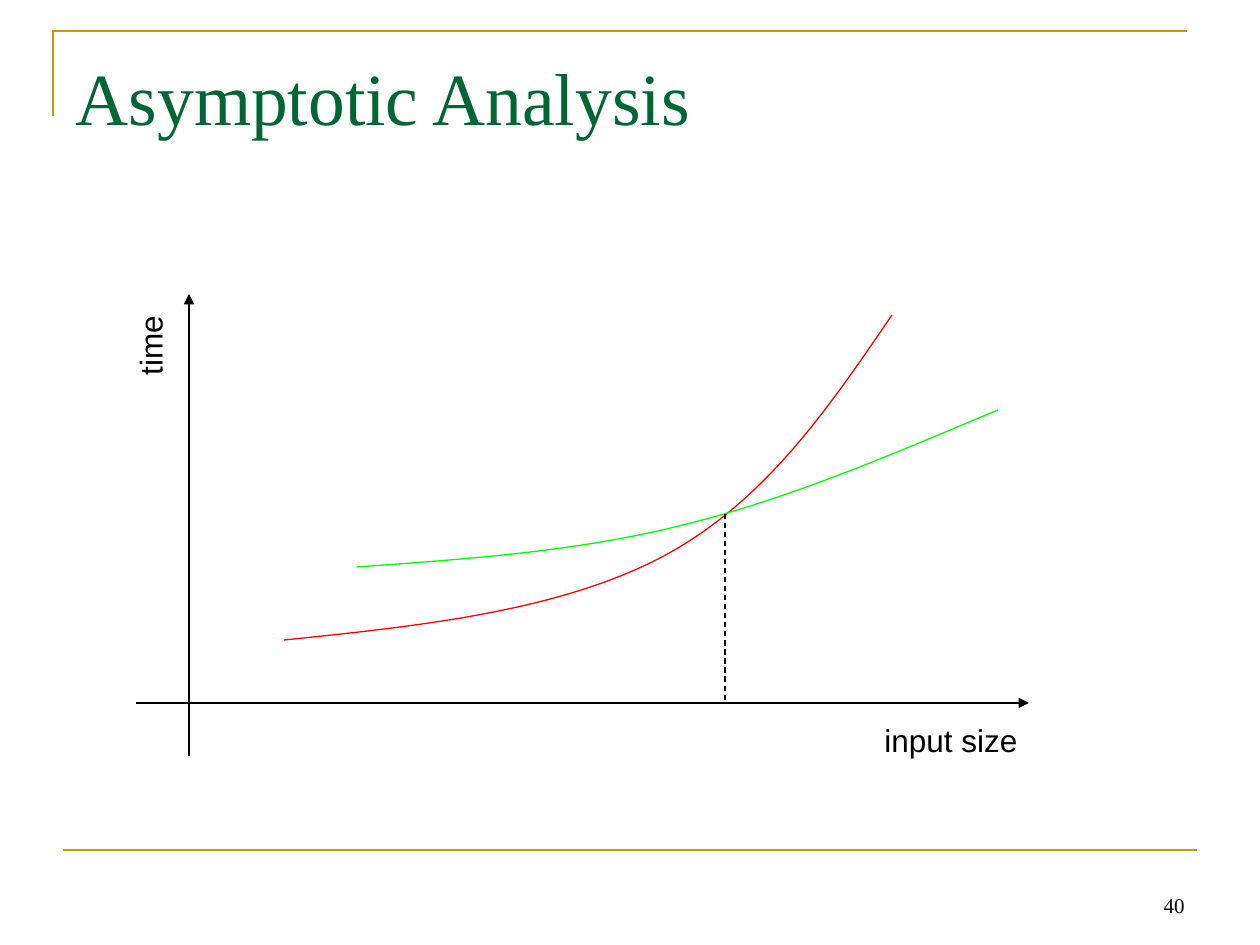
import pptx
import pptx.dml.color
import pptx.enum.dml
import pptx.enum.shapes
import pptx.enum.text
import pptx.oxml
import pptx.oxml.ns
import pptx.util

EMU_PER_PX = 914400 / 126
GOLD = pptx.dml.color.RGBColor(0xCC, 0x99, 0x00)
GREEN = pptx.dml.color.RGBColor(0x00, 0x66, 0x33)
BLACK = pptx.dml.color.RGBColor(0x00, 0x00, 0x00)
RED = pptx.dml.color.RGBColor(0xFF, 0x00, 0x00)
LIME = pptx.dml.color.RGBColor(0x00, 0xFF, 0x00)
SERIF, SANS = "Times New Roman", "Arial"
ANCHOR = pptx.enum.text.MSO_ANCHOR
ALIGN = pptx.enum.text.PP_ALIGN

TITLE = "Asymptotic Analysis"
PAGE_NUMBER = "40"
TITLE_AREA = (63, 38, 1134, 157)
NUMBER_AREA = (903, 861, 294, 63)
AXIS_LABELS = [
    ("time", (108, 321, 84, 50), 270),
    ("input size", (872, 715, 159, 50), 0),
]

FRAME_CORNER = [(53, 116), (53, 31), (1187, 31)]
FOOTER_RULE = ((63, 850), (1197, 850))
AXES = [((189, 756), (189, 294)), ((136, 703), (1029, 703))]
CROSSING = ((725, 514), (725, 703))
CURVES = [
    (RED, [(284, 640), (422, 626), (559, 611), (662, 557),
           (764, 503), (828, 409), (892, 315)]),
    (LIME, [(357, 567), (466, 559), (576, 552), (683, 525),
            (789, 499), (893, 454), (998, 410)]),
]


def emu(px):
    return pptx.util.Emu(round(px * EMU_PER_PX))


def write(box, text, font=SANS, size=18, color=BLACK, align=ALIGN.LEFT,
          anchor=ANCHOR.TOP, wrap=True):
    frame = box.text_frame
    frame.word_wrap = wrap
    frame.auto_size = pptx.enum.text.MSO_AUTO_SIZE.NONE
    frame.vertical_anchor = anchor
    para = frame.paragraphs[0]
    para.alignment = align
    span = para.add_run()
    span.text = text
    span.font.name = font
    span.font.size = pptx.util.Pt(size)
    span.font.color.rgb = color


def add_box(page, area):
    return page.shapes.add_textbox(*map(emu, area))


def add_line(page, ends, color=BLACK, width=0.75, dashed=False, arrow=False):
    start, end = ends
    connector = page.shapes.add_connector(
        pptx.enum.shapes.MSO_CONNECTOR.STRAIGHT, *map(emu, start + end))
    line = connector.line
    line.color.rgb = color
    line.width = pptx.util.Pt(width)
    if dashed:
        line.dash_style = pptx.enum.dml.MSO_LINE.DASH
    if arrow:
        pptx.oxml.ns.qn("a:tailEnd")
        tip = line._get_or_add_ln().makeelement(
            pptx.oxml.ns.qn("a:tailEnd"), {"type": "triangle"})
        line._get_or_add_ln().append(tip)
    properties = connector._element.spPr
    properties.append(properties.makeelement(pptx.oxml.ns.qn("a:effectLst"), {}))


def add_outline(page, points, color, width):
    start, *rest = [tuple(map(emu, point)) for point in points]
    builder = page.shapes.build_freeform(*start, scale=1.0)
    builder.add_line_segments(rest, close=False)
    outline = builder.convert_to_shape()
    outline.shadow.inherit = False
    outline.fill.background()
    outline.line.color.rgb = color
    outline.line.width = pptx.util.Pt(width)
    return outline


def bend(outline):
    segments = list(outline._element.iter(pptx.oxml.ns.qn("a:lnTo")))
    for first in range(0, len(segments), 3):
        group = segments[first:first + 3]
        bezier = group[0].makeelement(pptx.oxml.ns.qn("a:cubicBezTo"), {})
        group[0].addprevious(bezier)
        for segment in group:
            bezier.append(segment[0])
            segment.getparent().remove(segment)


def main():
    deck = pptx.Presentation()
    deck.slide_width, deck.slide_height = emu(1260), emu(945)
    page = deck.slides.add_slide(deck.slide_layouts[5])

    add_outline(page, FRAME_CORNER, GOLD, 1.5)
    add_line(page, FOOTER_RULE, GOLD, 1.5)
    write(add_box(page, NUMBER_AREA), PAGE_NUMBER, font=SERIF, size=12,
          align=ALIGN.RIGHT, anchor=ANCHOR.BOTTOM)

    title = page.shapes.title
    title.left, title.top, title.width, title.height = map(emu, TITLE_AREA)
    title.text_frame.margin_top = emu(14)
    write(title, TITLE, font=SERIF, size=42, color=GREEN)

    for axis in AXES:
        add_line(page, axis, arrow=True)
    for color, points in CURVES:
        bend(add_outline(page, points, color, 0.75))
    add_line(page, CROSSING, dashed=True)
    for text, area, rotation in AXIS_LABELS:
        label = add_box(page, area)
        label.rotation = rotation
        write(label, text, wrap=False)

    deck.save("out.pptx")


if __name__ == "__main__":
    main()
